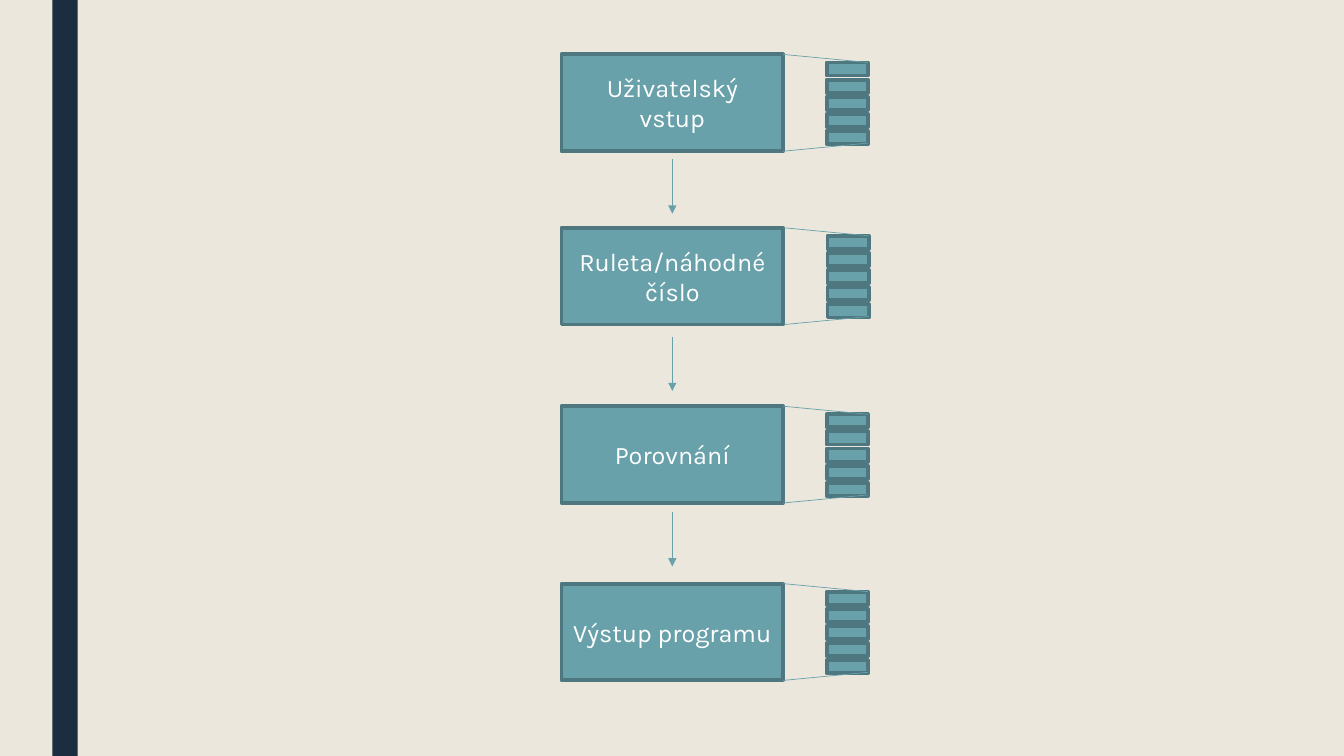
from lxml import etree
from pptx import Presentation
from pptx.dml.color import RGBColor
from pptx.enum.shapes import MSO_CONNECTOR, MSO_SHAPE
from pptx.enum.text import MSO_ANCHOR, PP_ALIGN
from pptx.oxml.ns import qn
from pptx.util import Inches, Pt

RECT = MSO_SHAPE.RECTANGLE
STRAIGHT = MSO_CONNECTOR.STRAIGHT
CENTER = PP_ALIGN.CENTER
MIDDLE = MSO_ANCHOR.MIDDLE

COLORS = {
    "paper": "EBE7DD",
    "navy": "1A2E40",
    "teal": "69A1AB",
    "edge": "4E777F",
    "white": "FFFFFF",
}

# The grid has ten columns and ten rows to the inch.
CELL = Inches(0.1)
COLS, ROWS = 133.33, 75

BOX_X, BOX_W, BOX_H = 55.7, 22, 9.6
BAR_X, BAR_W, BAR_H = 82, 4.1, 1.3
BAR_STEP, BAR_COUNT = 1.7, 5
INSET = 0.8
ARROW_H = 5.4

# Label, top row, shift of the bars in columns
STEPS = [
    ("Uživatelský vstup", 5.4, 0),
    ("Ruleta/náhodné číslo", 22.6, 0.1),
    ("Porovnání", 40.3, 0),
    ("Výstup programu", 57.9, 0),
]
ARROWS = [15.8, 33.4, 50.8]


def cells(*counts):
    return [round(count * CELL) for count in counts]


def color(name):
    return RGBColor.from_string(COLORS[name])


class Board:
    """Holds the style and the current slide."""

    font, size = "Karla", Pt(18)
    edge, thin = Pt(2.75), Pt(0.5)

    def __init__(self, slide):
        self.slide = slide
        fill = slide.background.fill
        fill.solid()
        fill.fore_color.rgb = color("paper")

    def rect(self, x, y, w, h, fill="teal", edge="edge"):
        shape = self.slide.shapes.add_shape(RECT, *cells(x, y, w, h))
        shape.shadow.inherit = False
        shape.fill.solid()
        shape.fill.fore_color.rgb = color(fill)
        if edge:
            shape.line.color.rgb = color(edge)
            shape.line.width = self.edge
        else:
            shape.line.fill.background()
        return shape

    def box(self, label, y):
        frame = self.rect(BOX_X, y, BOX_W, BOX_H).text_frame
        frame.word_wrap = True
        frame.vertical_anchor = MIDDLE
        frame.text = label
        para = frame.paragraphs[0]
        para.alignment = CENTER
        para.font.name = self.font
        para.font.size = self.size
        para.font.color.rgb = color("white")

    def line(self, x1, y1, x2, y2, arrow=False):
        link = self.slide.shapes.add_connector(STRAIGHT, *cells(x1, y1, x2, y2))
        link.line.color.rgb = color("teal")
        link.line.width = self.thin
        props = link._element.spPr
        if arrow:
            etree.SubElement(props.find(qn("a:ln")), qn("a:tailEnd"), type="triangle")
        etree.SubElement(props, qn("a:effectLst"))

    def stack(self, y, shift):
        """Draw the bars beside a box and the two lines that lead to them."""
        left = BAR_X + shift
        for i in range(BAR_COUNT):
            self.rect(left, y + INSET + i * BAR_STEP, BAR_W, BAR_H)
        start, end = BOX_X + BOX_W + shift, left + BAR_W
        self.line(start, y, end, y + INSET)
        self.line(start, y + BOX_H, end, y + BOX_H - INSET)


def main():
    deck = Presentation()
    deck.slide_width, deck.slide_height = cells(COLS, ROWS)
    board = Board(deck.slides.add_slide(deck.slide_layouts[6]))

    board.rect(5.2, 0, 2.5, ROWS, "navy", None)
    for label, y, shift in STEPS:
        board.box(label, y)
        board.stack(y, shift)
    mid = BOX_X + BOX_W / 2
    for y in ARROWS:
        board.line(mid, y, mid, y + ARROW_H, arrow=True)

    deck.save("out.pptx")


if __name__ == "__main__":
    main()
